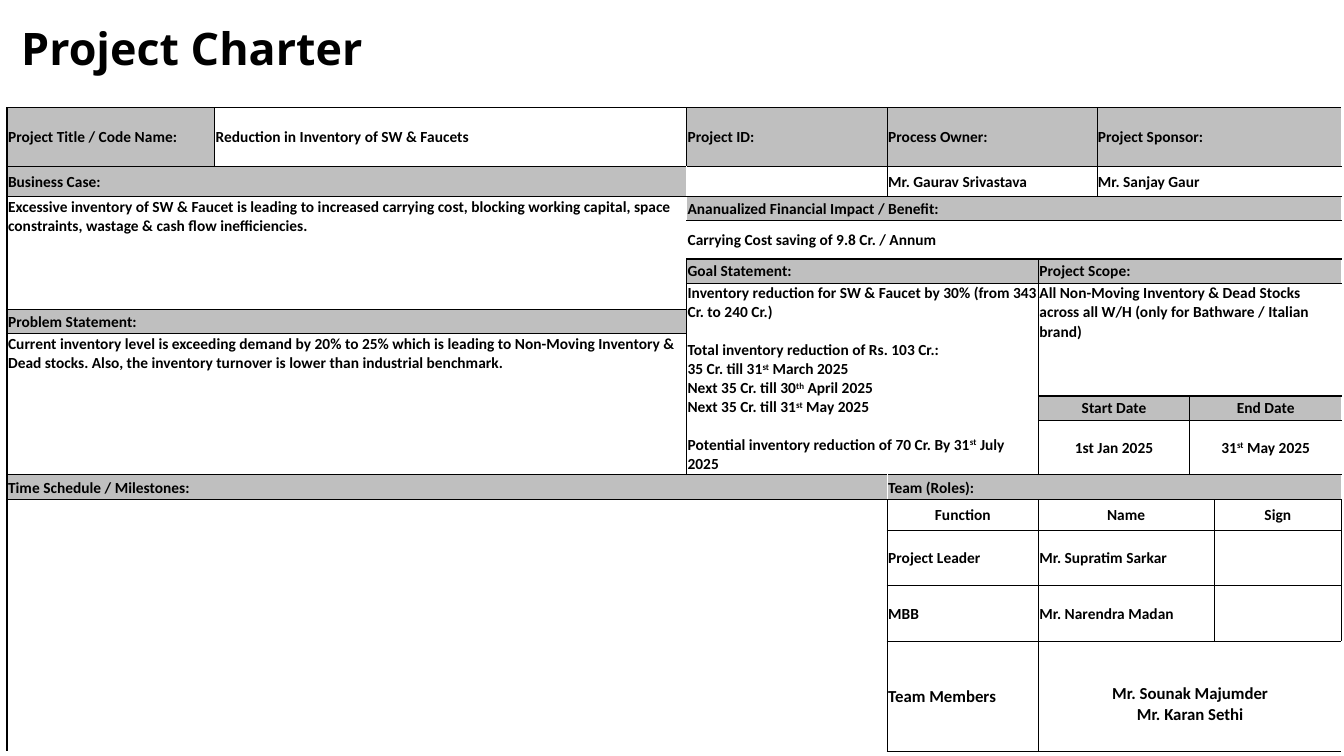
from lxml.etree import SubElement
from pptx import Presentation
from pptx.dml.color import RGBColor
from pptx.enum.text import MSO_ANCHOR, MSO_AUTO_SIZE, PP_ALIGN
from pptx.oxml.ns import qn
from pptx.util import Inches, Pt

INK = {"text": "000000", "line": "000000", "head": "BFBFBF"}
COLS = [2.06, 4.68, 1.99, 1.5, 0.58, 0.92, 0.24, 1.27]
ROWS = [0.58, 0.3, 0.24, 0.38, 0.24, 0.26, 0.24, 0.62,
        0.24, 0.54, 0.25, 0.3, 0.55, 0.55, 1.1]
WIDTH = {"h": 1, "t": 0.5}
ALIGN = {"l": PP_ALIGN.LEFT, "c": PP_ALIGN.CENTER}

CELLS = [
    (0, 0, 1, 1, "head", "l", "hhth", "Project Title / Code Name:"),
    (0, 1, 1, 1, "", "l", "thhh", "Reduction in Inventory of SW & Faucets"),
    (0, 2, 1, 1, "head", "l", "hhtt", "Project ID:"),
    (0, 3, 1, 2, "head", "l", "thtt", "Process Owner:"),
    (0, 5, 1, 3, "head", "l", "thtt", "Project Sponsor:"),
    (1, 0, 1, 2, "head", "l", "hhtt", "Business Case:"),
    (1, 2, 1, 1, "", "l", "ttth", ""),
    (1, 3, 1, 2, "", "l", "ttth", "Mr. Gaurav Srivastava"),
    (1, 5, 1, 3, "", "l", "ttth", "Mr. Sanjay Gaur"),
    (2, 0, 4, 2, "top", "l", "htth",
     "Excessive inventory of SW & Faucet is leading to increased carrying cost, "
     "blocking working capital, space constraints, wastage & cash flow inefficiencies."),
    (2, 2, 1, 6, "head", "l", "thtt", "Ananualized Financial Impact / Benefit:"),
    (3, 2, 1, 6, "", "l", "ttth", "Carrying Cost saving of 9.8 Cr. / Annum"),
    (4, 2, 1, 2, "head", "l", "hhht", "Goal Statement:"),
    (4, 4, 1, 4, "head", "l", "hhht", "Project Scope:"),
    (5, 2, 5, 2, "top", "l", "hthh",
     "Inventory reduction for SW & Faucet by 30% (from 343 Cr. to 240 Cr.)\n"
     "Total inventory reduction of Rs. 103 Cr.:\n"
     "35 Cr. till 31^st^ March 2025\n"
     "Next 35 Cr. till 30^th^ April 2025\n"
     "Next 35 Cr. till 31^st^ May 2025\n"
     "Potential inventory reduction of 70 Cr. By 31^st^ July 2025"),
    (5, 4, 3, 4, "top", "l", "hthh",
     "All Non-Moving Inventory & Dead Stocks across all W/H "
     "(only for Bathware / Italian brand)"),
    (6, 0, 1, 2, "head", "l", "hhht", "Problem Statement:"),
    (7, 0, 3, 2, "top", "l", "hthh",
     "Current inventory level is exceeding demand by 20% to 25% which is leading to "
     "Non-Moving Inventory & Dead stocks. Also, the inventory turnover is lower than "
     "industrial benchmark."),
    (8, 4, 1, 2, "head", "c", "hhtt", "Start Date"),
    (8, 6, 1, 2, "head", "c", "thtt", "End Date"),
    (9, 4, 1, 2, "", "c", "htth", "1st Jan 2025"),
    (9, 6, 1, 2, "", "c", "ttth", "31^st^ May 2025"),
    (10, 0, 1, 3, "head", "l", "hhtt", "Time Schedule / Milestones:"),
    (10, 3, 1, 5, "head", "l", "thtt", "Team (Roles):"),
    (11, 0, 4, 3, "", "l", "hthh", ""),
    (11, 3, 1, 1, "", "c", "httt", "Function"),
    (11, 4, 1, 3, "", "c", "tttt", "Name"),
    (11, 7, 1, 1, "", "c", "ttht", "Sign"),
    (12, 3, 1, 1, "", "l", "httt", "Project Leader"),
    (12, 4, 1, 3, "", "l", "tttt", "Mr. Supratim Sarkar"),
    (12, 7, 1, 1, "", "l", "ttht", ""),
    (13, 3, 1, 1, "", "l", "httt", "MBB"),
    (13, 4, 1, 3, "", "l", "tttt", "Mr. Narendra Madan"),
    (13, 7, 1, 1, "", "l", "ttht", ""),
    (14, 3, 1, 1, "", "l", "htth", "Team Members"),
    (14, 4, 1, 4, "", "c", "tthh", "Mr. Sounak Majumder\nMr. Karan Sethi"),
]


def style(run, face, size):
    font = run.font
    font.name, font.size, font.bold = face, Pt(size), True
    font.color.rgb = RGBColor.from_string(INK["text"])


def border(cell, side, width):
    line = SubElement(cell._tc.get_or_add_tcPr(), qn("a:ln" + side), w=str(Pt(width)))
    fill = SubElement(line, qn("a:solidFill"))
    SubElement(fill, qn("a:srgbClr"), val=INK["line"])


deck = Presentation()
deck.slide_width, deck.slide_height = Inches(13.33), Inches(7.5)
slide = deck.slides.add_slide(deck.slide_layouts[5])

title = slide.shapes.title
title.left, title.top = Inches(0.11), Inches(0.22)
title.width, title.height = Inches(11.5), Inches(0.75)
frame = title.text_frame
frame.text = "Project Charter"
frame.auto_size = MSO_AUTO_SIZE.NONE
frame.vertical_anchor = MSO_ANCHOR.TOP
frame.paragraphs[0].alignment = PP_ALIGN.LEFT
frame.paragraphs[0].line_spacing = 0.9
style(frame.paragraphs[0].runs[0], "Open Sans", 32)

grid = slide.shapes.add_table(
    len(ROWS), len(COLS), Inches(0.07), Inches(1.07),
    Inches(sum(COLS)), Inches(sum(ROWS))).table
grid.first_row = grid.horz_banding = False
for col, size in zip(grid.columns, COLS):
    col.width = Inches(size)
for row, size in zip(grid.rows, ROWS):
    row.height = Inches(size)

for top, left, high, wide, kind, align, edge, text in CELLS:
    last, end = top + high - 1, left + wide - 1
    main = grid.cell(top, left)
    if high * wide > 1:
        main.merge(grid.cell(last, end))
    for r in range(top, last + 1):
        for c in range(left, end + 1):
            cell = grid.cell(r, c)
            cell.margin_left = cell.margin_right = cell.margin_top = Inches(0.01)
            cell.margin_bottom = 0
            outer = {"L": c == left, "R": c == end, "T": r == top, "B": r == last}
            for side, drawn in outer.items():
                if drawn:
                    border(cell, side, WIDTH[edge["LTRB".index(side)]])
            if kind == "head":
                cell.fill.solid()
                cell.fill.fore_color.rgb = RGBColor.from_string(INK["head"])
            else:
                cell.fill.background()
            mark = cell.text_frame.paragraphs[0]._p.get_or_add_endParaRPr()
            mark.set("sz", "800")
    main.vertical_anchor = MSO_ANCHOR.TOP if kind == "top" else MSO_ANCHOR.MIDDLE
    if not text:
        continue
    frame = main.text_frame
    frame.text = text.replace("^", "")
    for para, line in zip(frame.paragraphs, text.split("\n")):
        para.alignment = ALIGN[align]
        para.clear()
        for n, part in enumerate(line.split("^")):
            run = para.add_run()
            run.text = part
            style(run, "Calibri", 12 if top == 14 else 11)
            if n % 2:
                run.font._element.set("baseline", "30000")

goal = grid.cell(5, 2).text_frame.paragraphs
for n in (1, 5):
    goal[n].space_before = Pt(13.4)
grid.cell(14, 4).margin_top = Inches(0.16)

deck.save("out.pptx")
